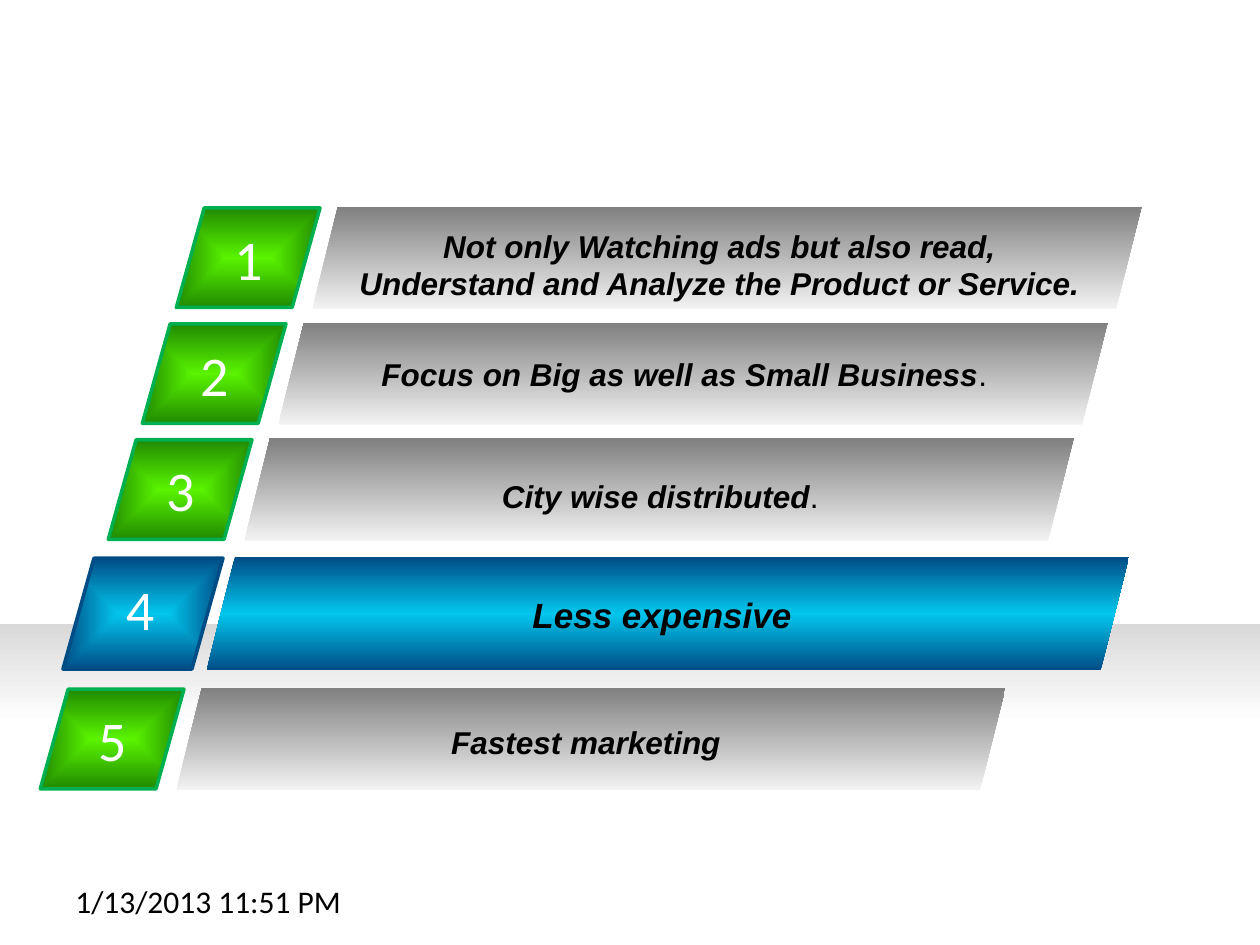
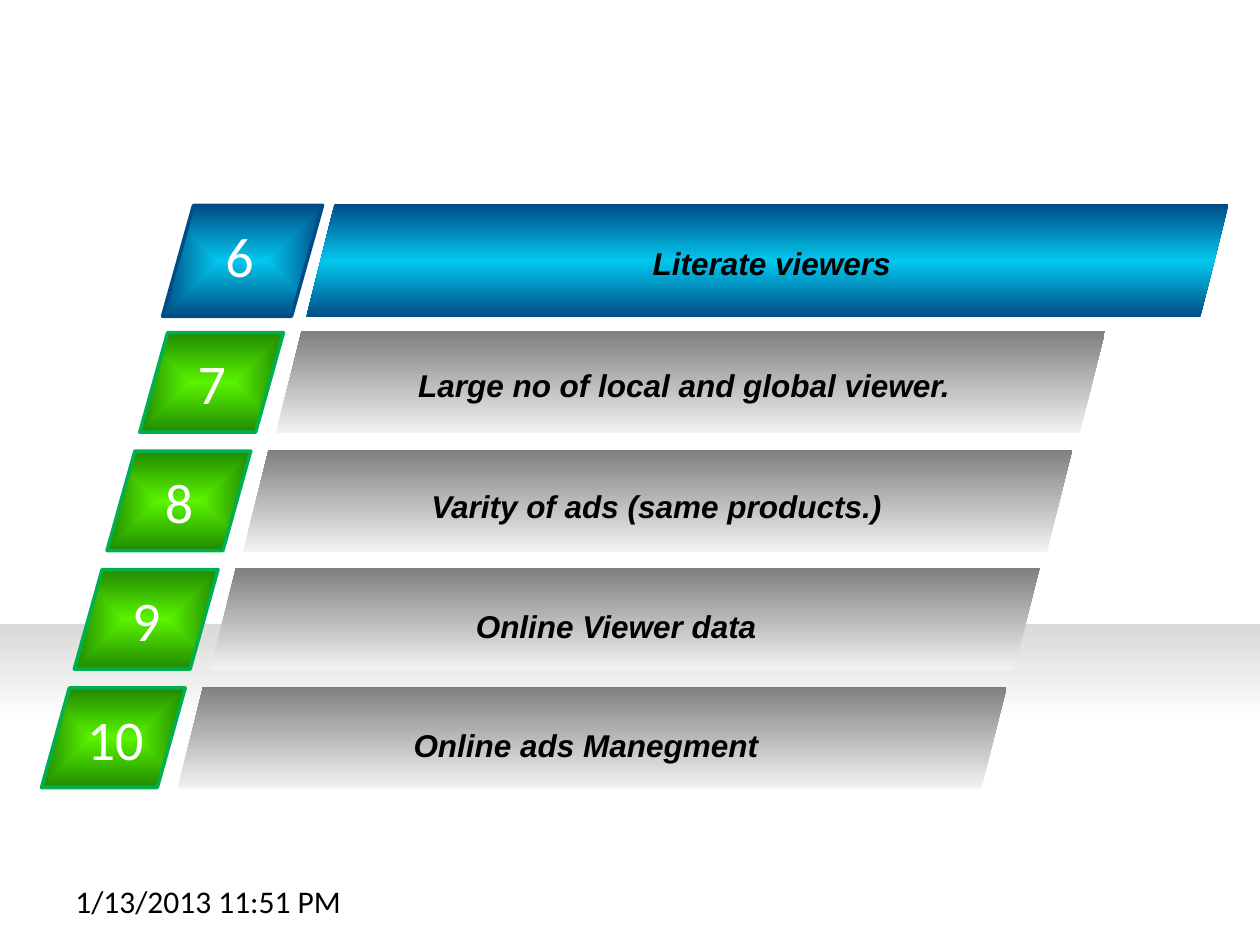
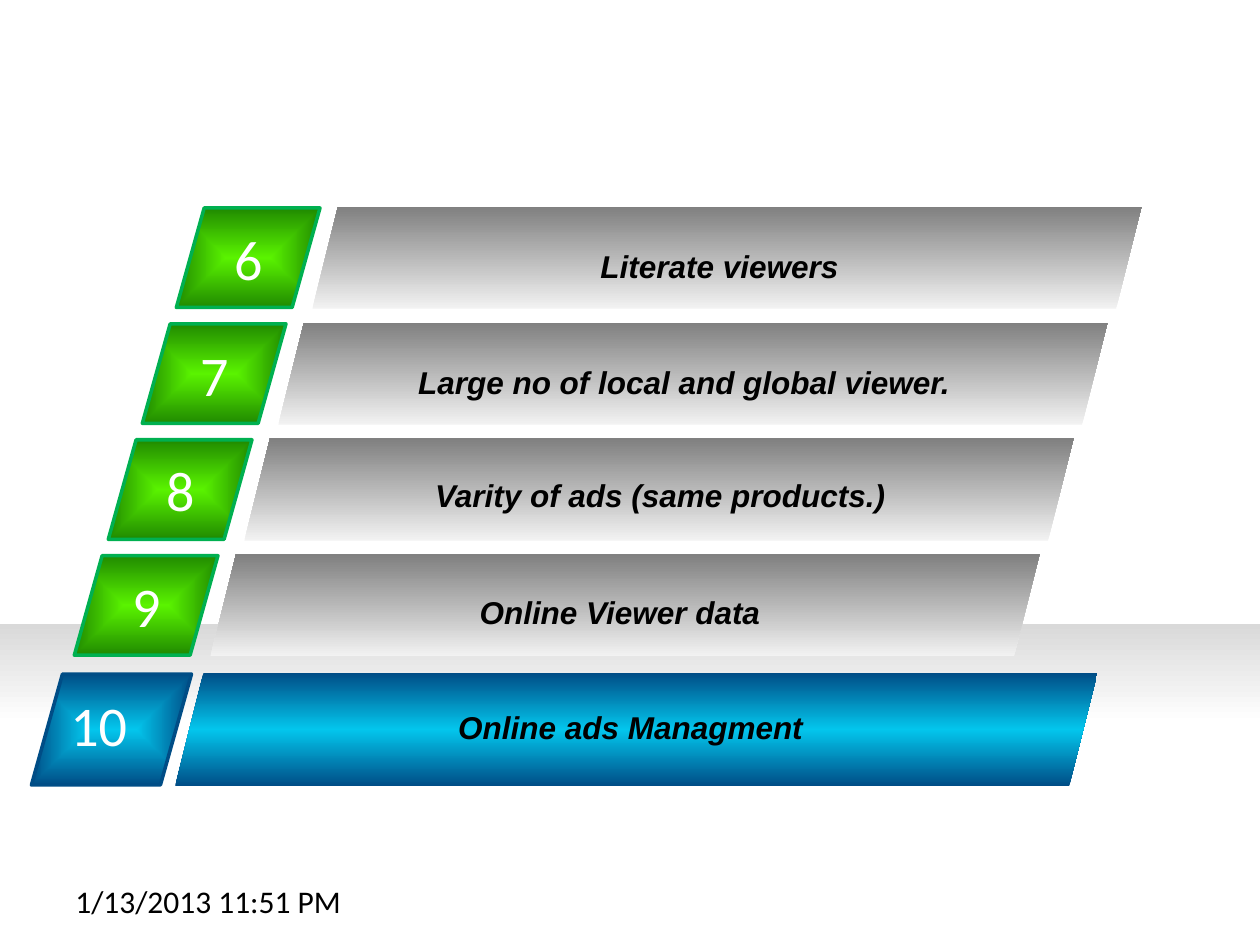
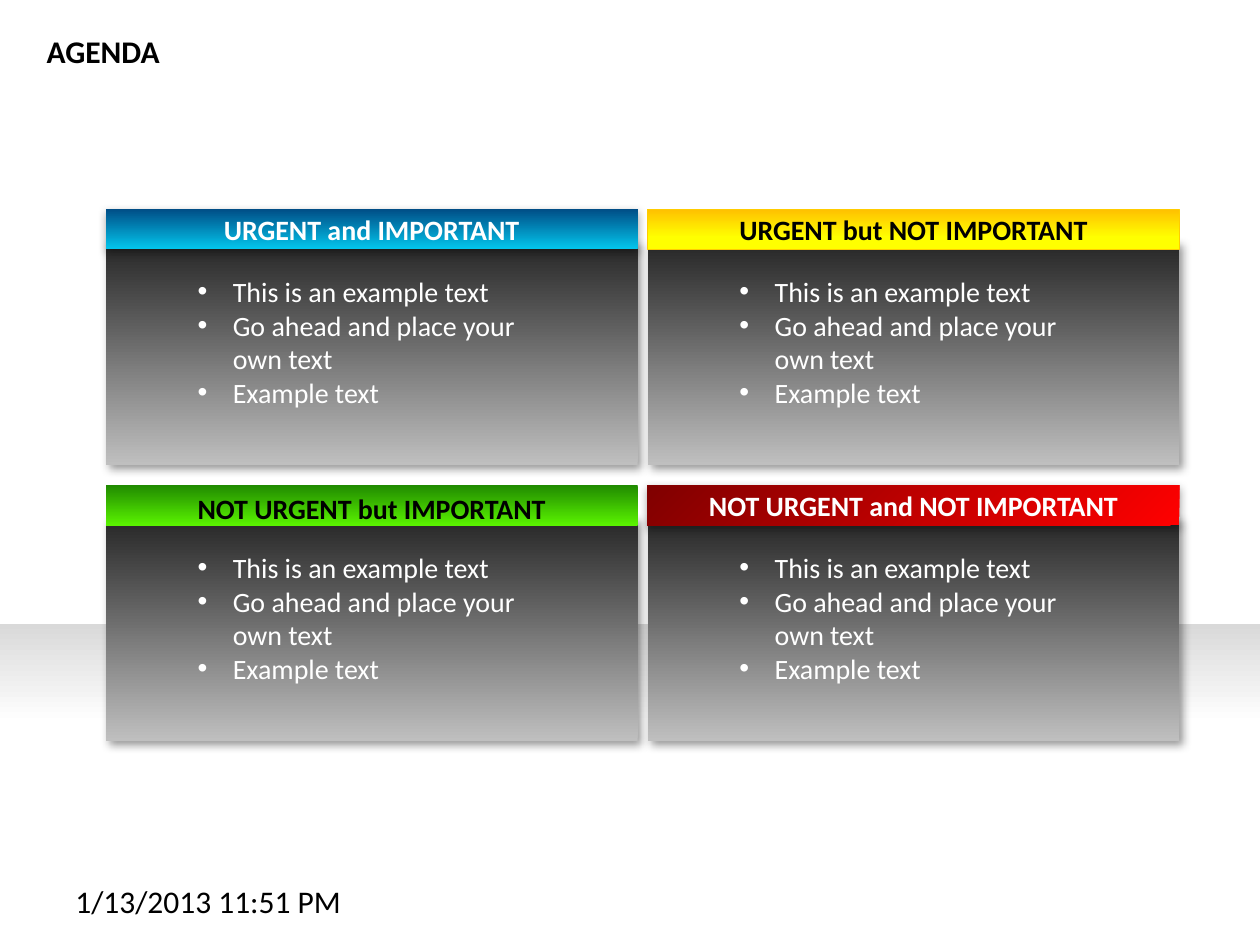
"""Build four slides: three numbered ladders of advantages and an agenda matrix."""
import dataclasses

import lxml.etree
import pptx
import pptx.dml.color
import pptx.enum.shapes
import pptx.enum.text
import pptx.oxml.ns
import pptx.util

Inches = pptx.util.Inches
Pt = pptx.util.Pt
qn = pptx.oxml.ns.qn
PRESET = pptx.enum.shapes.MSO_SHAPE
ALIGN = pptx.enum.text.PP_ALIGN
ANCHOR = pptx.enum.text.MSO_ANCHOR


@dataclasses.dataclass(frozen=True)
class Gradient:
    stops: tuple
    angle: int = 270
    centred: bool = False


@dataclasses.dataclass(frozen=True)
class StepStyle:
    chip_size: tuple
    chip_fill: Gradient
    chip_line: str
    bar_size: tuple
    bar_fill: Gradient
    bar_dx: float
    number_dx: tuple
    caption_width: float


@dataclasses.dataclass(frozen=True)
class Theme:
    body_font = "Calibri"
    caption_font = "Arial"
    black = "000000"
    white = "FFFFFF"
    number_size = 32
    strong_size = 20
    text_size = 18
    small_size = 16
    chip_slant = 0.28
    bar_slant = 0.25
    floor = Gradient(((0, "FFFFFF"), (61, "FFFFFF"), (100, "D9D9D9")))
    panel = Gradient(((0, "BFBFBF"), (100, "262626")))
    blue = Gradient(((0, "03C6ED"), (100, "004D86")))
    yellow = Gradient(((0, "FFC000"), (70, "FFFF00"), (100, "FFFF00")), 90)
    green = Gradient(((0, "208A00"), (100, "5AF300")), 90)
    red = Gradient(((0, "FF0000"), (100, "800000")), 225)
    yellow_line = "FFCC00"
    panel_shadow = (40, 5, 3, 45)
    heading_shadow = (35, 5, 1.8, 90)
    plain = StepStyle(
        (1.14, 0.79), Gradient(((0, "5AF300"), (100, "208A00")), centred=True), "00B050",
        (6.58, 0.81), Gradient(((0, "F2F2F2"), (100, "808080"))),
        1.08, (0.36, 0.26), 5.92)
    highlight = StepStyle(
        (1.27, 0.88), Gradient(((0, "03C6ED"), (100, "004D86")), centred=True), "004D86",
        (7.32, 0.9), Gradient(((0, "004D86"), (50, "03C6ED"), (100, "004D86"))),
        1.14, (0.4, 0.21), 6.57)


THEME = Theme()


@dataclasses.dataclass(frozen=True)
class Step:
    number: str
    caption: str
    caption_at: tuple
    chip_at: tuple = None
    style: StepStyle = THEME.plain
    tail: str = ""
    size: int = THEME.text_size
    caption_width: float = None


def write(paragraph, text, font=THEME.body_font, size=THEME.text_size,
          color=THEME.black, bold=False, italic=False, align=ALIGN.LEFT):
    """Add a formatted run to a paragraph."""
    paragraph.alignment = align
    run = paragraph.add_run()
    run.text = text
    run.font.name = font
    run.font.size = Pt(size)
    run.font.bold = bold
    run.font.italic = italic
    run.font.color.rgb = pptx.dml.color.RGBColor.from_string(color)


def add_xml(parent, tag, **attributes):
    """Append a drawing element with the given attributes."""
    values = {name: str(value) for name, value in attributes.items()}
    return lxml.etree.SubElement(parent, qn(tag), values)


def apply_gradient(shape, gradient):
    """Fill a shape with a linear or centred gradient."""
    shape.fill.gradient()
    fill = shape.element.spPr.find(qn("a:gradFill"))
    for child in list(fill):
        fill.remove(child)
    stops = add_xml(fill, "a:gsLst")
    for position, color in gradient.stops:
        stop = add_xml(stops, "a:gs", pos=position * 1000)
        add_xml(stop, "a:srgbClr", val=color)
    if gradient.centred:
        shade = add_xml(fill, "a:path", path="shape")
        add_xml(shade, "a:fillToRect", l=50000, t=50000, r=50000, b=50000)
    else:
        add_xml(fill, "a:lin", ang=gradient.angle * 60000, scaled=0)


def apply_shadow(shape, opacity, blur, distance, direction):
    """Give a shape an outer black shadow."""
    effects = shape.element.spPr.find(qn("a:effectLst"))
    outer = add_xml(effects, "a:outerShdw", blurRad=Pt(blur), dist=Pt(distance),
                    dir=direction * 60000, algn="tl", rotWithShape=0)
    color = add_xml(outer, "a:srgbClr", val=THEME.black)
    add_xml(color, "a:alpha", val=opacity * 1000)


class Deck:
    """Hold the presentation, its style and the current slide."""

    def __init__(self, theme):
        self.theme = theme
        self.presentation = pptx.Presentation()
        self.presentation.slide_width = Inches(10)
        self.presentation.slide_height = Inches(7.5)
        self.slide = None

    def new_slide(self, title=None):
        """Start a slide, with a title if one is given."""
        first = self.slide is None
        layout = self.presentation.slide_layouts[5 if title else 6]
        self.slide = self.presentation.slides.add_slide(layout)
        if first:
            self.floor_on_master()
        if title:
            self.title(title)
        self.text((0.5, 6.95), (2.33, 0.4), "1/13/2013 11:51 PM")

    def floor_on_master(self):
        """Move the shaded floor to the master so that all slides share it."""
        floor = self.shape(PRESET.RECTANGLE, (0, 4.95), (10, 2.02), self.theme.floor)
        self.presentation.slide_master.shapes.element.insert(2, floor.element)

    def title(self, text):
        """Place and format the title placeholder."""
        heading = self.slide.shapes.title
        heading.left, heading.top = Inches(0.27), Inches(0.2)
        heading.width, heading.height = Inches(1.24), Inches(0.4)
        frame = heading.text_frame
        frame.auto_size = pptx.enum.text.MSO_AUTO_SIZE.NONE
        frame.vertical_anchor = ANCHOR.TOP
        write(frame.paragraphs[0], text, bold=True)

    def shape(self, preset, at, extent, gradient, line=None, weight=2, slant=None, shadow=None):
        """Draw a preset shape with a gradient fill."""
        item = self.slide.shapes.add_shape(preset, *map(Inches, at + extent))
        if slant is not None:
            item.adjustments[0] = slant
        apply_gradient(item, gradient)
        if line:
            item.line.color.rgb = pptx.dml.color.RGBColor.from_string(line)
            item.line.width = Pt(weight)
        else:
            item.line.fill.background()
        item.shadow.inherit = False
        if shadow:
            apply_shadow(item, *shadow)
        return item

    def text_frame(self, at, extent):
        """Add a wrapped text box and return its frame."""
        frame = self.slide.shapes.add_textbox(*map(Inches, at + extent)).text_frame
        frame.word_wrap = True
        return frame

    def text(self, at, extent, text, anchor=ANCHOR.TOP, **style):
        """Add a formatted text box and return its paragraph."""
        frame = self.text_frame(at, extent)
        frame.vertical_anchor = anchor
        write(frame.paragraphs[0], text, **style)
        return frame.paragraphs[0]

    def bullets(self, at, extent, items):
        """Add a bulleted list."""
        frame = self.text_frame(at, extent)
        frame.margin_right = Inches(0.35)
        for index, item in enumerate(items):
            paragraph = frame.add_paragraph() if index else frame.paragraphs[0]
            properties = paragraph._p.get_or_add_pPr()
            properties.set("marL", str(Inches(0.28)))
            properties.set("indent", str(-Inches(0.28)))
            add_xml(properties, "a:buFont", typeface="Arial")
            add_xml(properties, "a:buChar", char="•")
            write(paragraph, item, size=self.theme.small_size, color=self.theme.white)

    def step(self, step, chip_at):
        """Draw one numbered chip with its caption bar."""
        style = step.style
        left, top = chip_at
        digits = len(step.number)
        self.shape(PRESET.PARALLELOGRAM, chip_at, style.chip_size, style.chip_fill,
                   line=style.chip_line, slant=self.theme.chip_slant)
        self.text((left + style.number_dx[digits - 1], top + 0.08),
                  ((0.45, 0.78)[digits - 1], 0.64), step.number,
                  size=self.theme.number_size, color=self.theme.white)
        self.shape(PRESET.PARALLELOGRAM, (left + style.bar_dx, top - 0.01),
                   style.bar_size, style.bar_fill, slant=self.theme.bar_slant)
        look = dict(font=self.theme.caption_font, size=step.size, align=ALIGN.CENTER)
        caption = self.text(step.caption_at, (step.caption_width or style.caption_width, 0.4),
                            step.caption, bold=True, italic=True, **look)
        if step.tail:
            write(caption, step.tail, **look)

    def ladder(self, start, pitch, steps):
        """Draw steps that shift left and down by an equal pitch."""
        self.new_slide()
        for index, step in enumerate(steps):
            rung = (start[0] - index * pitch[0], start[1] + index * pitch[1])
            self.step(step, step.chip_at or rung)

    def quadrant(self, at, heading, fill, color, line=None, shadow=None, anchor=ANCHOR.MIDDLE):
        """Draw one panel of the matrix with its heading and list."""
        left, top = at
        heading_extent = (4.22, 0.32)
        self.shape(PRESET.RECTANGLE, (left, top + 0.26), (4.22, 1.77), self.theme.panel,
                   shadow=self.theme.panel_shadow)
        self.shape(PRESET.RECTANGLE, at, heading_extent, fill, line=line, weight=0.25,
                   shadow=shadow)
        self.text(at, heading_extent, heading, anchor=anchor, size=self.theme.small_size,
                  color=color, bold=True, align=ALIGN.CENTER)
        self.bullets((left + 0.63, top + 0.47), (3.12, 1.18),
                     ("This is an example text", "Go ahead and place your own text", "Example text"))


def main():
    """Build the slides and save them."""
    deck = Deck(THEME)
    highlight = THEME.highlight

    deck.ladder((1.4, 1.65), (0.27, 0.92), (
        Step("1", "Not only Watching ads but also read, Understand and Analyze the Product or Service.",
             (2.75, 1.75)),
        Step("2", "Focus on Big as well as Small Business", (2.47, 2.77), tail="."),
        Step("3", "City wise distributed", (2.28, 3.74), tail="."),
        Step("4", "Less expensive", (1.97, 4.66), (0.5, 4.43), highlight, size=THEME.strong_size),
        Step("5", "Fastest marketing", (1.69, 5.69), (0.32, 5.47)),
    ))
    deck.ladder((1.37, 1.7), (0.26, 0.94), (
        Step("6", "Literate viewers", (2.75, 1.89), (1.29, 1.63), highlight, caption_width=6.75),
        Step("7", "Large no of local and global viewer.", (2.47, 2.86)),
        Step("8", "Varity of ads (same products.)", (2.25, 3.82)),
        Step("9", "Online Viewer data", (1.93, 4.77)),
        Step("10", "Online ads Manegment", (1.69, 5.71)),
    ))
    deck.ladder((1.4, 1.65), (0.27, 0.92), (
        Step("6", "Literate viewers", (2.75, 1.91)),
        Step("7", "Large no of local and global viewer.", (2.47, 2.83)),
        Step("8", "Varity of ads (same products.)", (2.28, 3.73)),
        Step("9", "Online Viewer data", (1.96, 4.66)),
        Step("10", "Online ads Managment", (1.72, 5.57), (0.25, 5.35), highlight),
    ))

    deck.new_slide("AGENDA")
    columns, rows = (0.84, 5.14), (1.66, 3.85)
    deck.quadrant((columns[0], rows[0]), "URGENT and IMPORTANT", THEME.blue, THEME.white,
                  shadow=THEME.heading_shadow)
    deck.quadrant((columns[1], rows[0]), "URGENT but NOT IMPORTANT", THEME.yellow, THEME.black,
                  line=THEME.yellow_line)
    deck.quadrant((columns[0], rows[1]), "NOT URGENT but IMPORTANT", THEME.green, THEME.black,
                  anchor=ANCHOR.TOP)
    deck.quadrant((columns[1], rows[1]), "NOT URGENT and NOT IMPORTANT", THEME.red, THEME.white,
                  shadow=THEME.heading_shadow)

    deck.presentation.save("out.pptx")


if __name__ == "__main__":
    main()
